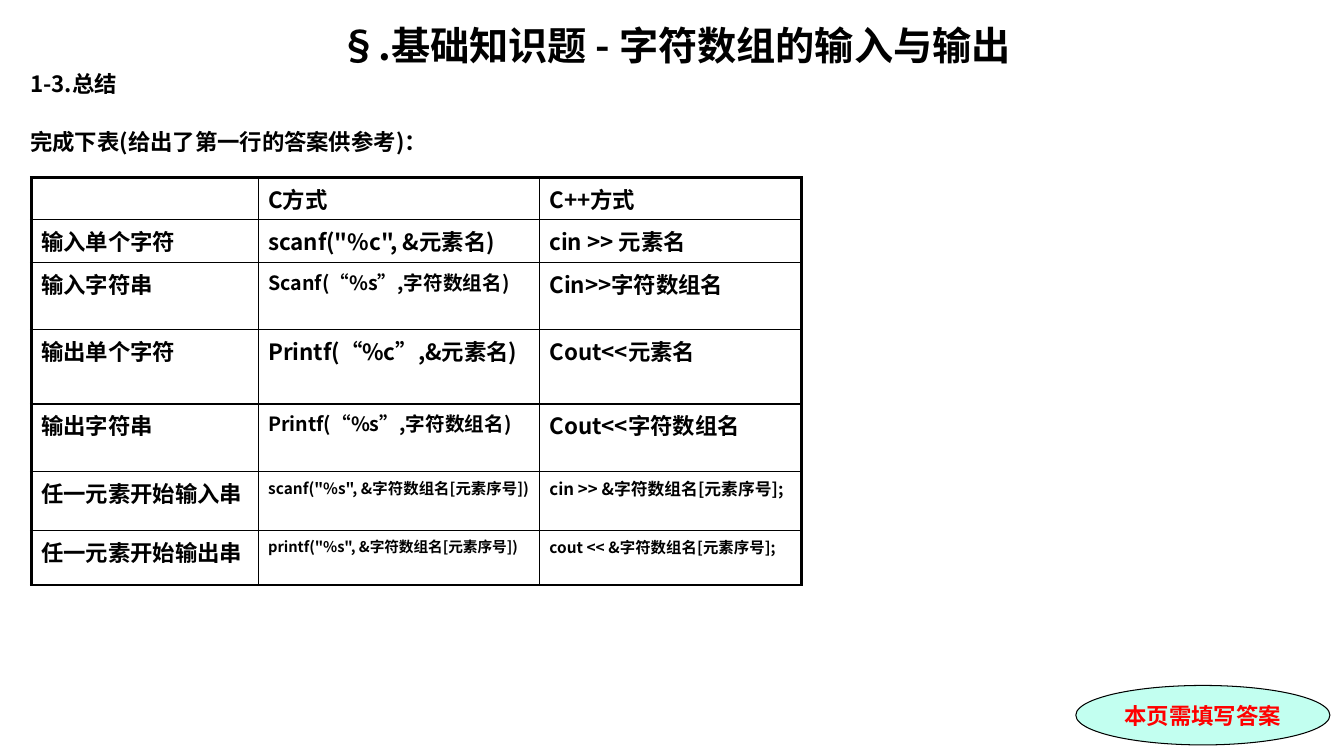
from lxml import etree
from pptx import Presentation
from pptx.dml.color import RGBColor
from pptx.enum.shapes import MSO_SHAPE
from pptx.enum.text import MSO_ANCHOR, MSO_AUTO_SIZE, PP_ALIGN
from pptx.oxml.ns import qn
from pptx.util import Inches, Pt

COLORS = {"text": "000000", "paper": "FFFFFF", "mint": "C2FFF0", "alert": "FF0000"}
CJK_FONT = "Noto Sans CJK SC"
LATIN_FONT = "Times New Roman"

COLUMN_WIDTHS = [2.25, 2.79, 2.6]
ROW_HEIGHTS = [0.31] * 6 + [0.4]
# Each cell is its text and its size in points.
ROWS = [
    [("", 16), ("C方式", 16), ("C++方式", 16)],
    [("输入单个字符", 16), ('scanf("%c", &元素名)', 16), ("cin >> 元素名", 16)],
    [("输入字符串", 16), ("Scanf(“%s”,字符数组名)", 14), ("Cin>>字符数组名", 16)],
    [("输出单个字符", 16), ("Printf(“%c”,&元素名)", 16), ("Cout<<元素名", 16)],
    [("输出字符串", 16), ("Printf(“%s”,字符数组名)", 14), ("Cout<<字符数组名", 16)],
    [("任一元素开始输入串", 16), ('scanf("%s", &字符数组名[元素序号])', 11),
     ("cin >> &字符数组名[元素序号];", 12)],
    [("任一元素开始输出串", 16), ('printf("%s", &字符数组名[元素序号])', 10.5),
     ("cout << &字符数组名[元素序号];", 11)],
]


def rgb(name):
    return RGBColor.from_string(COLORS[name])


def add_run(paragraph, text, size, color="text", latin=CJK_FONT):
    run = paragraph.add_run()
    run.text = text
    run.font.size = Pt(size)
    run.font.bold = True
    run.font.name = latin
    run.font.color.rgb = rgb(color)
    east_asian = etree.Element(qn("a:ea"), typeface=CJK_FONT)
    run.font._element.find(qn("a:latin")).addnext(east_asian)


def place_placeholder(placeholder, top, height, anchor, margin):
    """Move a placeholder to the full text width and return its text frame."""
    placeholder.left, placeholder.top = Inches(0.2), Inches(top)
    placeholder.width, placeholder.height = Inches(12.99), Inches(height)
    frame = placeholder.text_frame
    frame.auto_size = MSO_AUTO_SIZE.NONE
    frame.vertical_anchor = anchor
    frame.margin_top = frame.margin_bottom = Inches(margin)
    return frame


def fill_title(slide):
    frame = place_placeholder(slide.shapes.title, 0.18, 0.53, MSO_ANCHOR.MIDDLE, 0)
    paragraph = frame.paragraphs[0]
    paragraph.alignment = PP_ALIGN.CENTER
    paragraph.line_spacing = 1.0
    add_run(paragraph, "§.基础知识题 - 字符数组的输入与输出", 28)


def fill_body(slide):
    frame = place_placeholder(slide.placeholders[1], 0.65, 1.05, MSO_ANCHOR.TOP, 0.05)
    heading, task = frame.paragraphs[0], frame.add_paragraph()
    for paragraph, text, gap in [(heading, "1-3.总结", 0),
                                 (task, "完成下表(给出了第一行的答案供参考)：", 22)]:
        paragraph.alignment = PP_ALIGN.JUSTIFY
        paragraph.line_spacing = 1.0
        paragraph.space_before = Pt(gap)
        add_run(paragraph, text, 16)


def set_borders(cell, row, column):
    """Draw thick lines on the table's outer edges and thin ones inside."""
    outer_edges = {
        "a:lnL": column == 0,
        "a:lnR": column == len(COLUMN_WIDTHS) - 1,
        "a:lnT": row == 0,
        "a:lnB": row == len(ROWS) - 1,
    }
    properties = cell._tc.get_or_add_tcPr()
    for tag, is_outer in outer_edges.items():
        width = Pt(2.25 if is_outer else 1)
        line = etree.SubElement(properties, qn(tag), w=str(int(width)))
        fill = etree.SubElement(line, qn("a:solidFill"))
        etree.SubElement(fill, qn("a:srgbClr"), val=COLORS["text"])


def add_answer_table(slide):
    table = slide.shapes.add_table(
        len(ROWS), len(COLUMN_WIDTHS), Inches(0.31), Inches(1.76),
        Inches(sum(COLUMN_WIDTHS)), Inches(sum(ROW_HEIGHTS))).table
    table.first_row = table.horz_banding = False
    for column, width in zip(table.columns, COLUMN_WIDTHS):
        column.width = Inches(width)
    for row, height in zip(table.rows, ROW_HEIGHTS):
        row.height = Inches(height)
    for row_index, cells in enumerate(ROWS):
        for column_index, (text, size) in enumerate(cells):
            cell = table.cell(row_index, column_index)
            set_borders(cell, row_index, column_index)
            cell.fill.solid()
            cell.fill.fore_color.rgb = rgb("paper")
            add_run(cell.text_frame.paragraphs[0], text, size)


def add_reminder(slide):
    shape = slide.shapes.add_shape(
        MSO_SHAPE.OVAL, Inches(10.67), Inches(6.8), Inches(2.52), Inches(0.59))
    shape.shadow.inherit = False
    shape.fill.solid()
    shape.fill.fore_color.rgb = rgb("mint")
    shape.line.color.rgb = rgb("text")
    shape.line.width = Pt(0.75)
    frame = shape.text_frame
    frame.vertical_anchor = MSO_ANCHOR.MIDDLE
    frame.margin_left = frame.margin_right = 0
    paragraph = frame.paragraphs[0]
    paragraph.alignment = PP_ALIGN.CENTER
    add_run(paragraph, "本页需填写答案", 16, "alert", LATIN_FONT)


def main():
    presentation = Presentation()
    presentation.slide_width = Inches(13.33)
    presentation.slide_height = Inches(7.5)
    slide = presentation.slides.add_slide(presentation.slide_layouts[0])
    fill_title(slide)
    fill_body(slide)
    add_answer_table(slide)
    add_reminder(slide)
    presentation.save("out.pptx")


if __name__ == "__main__":
    main()
